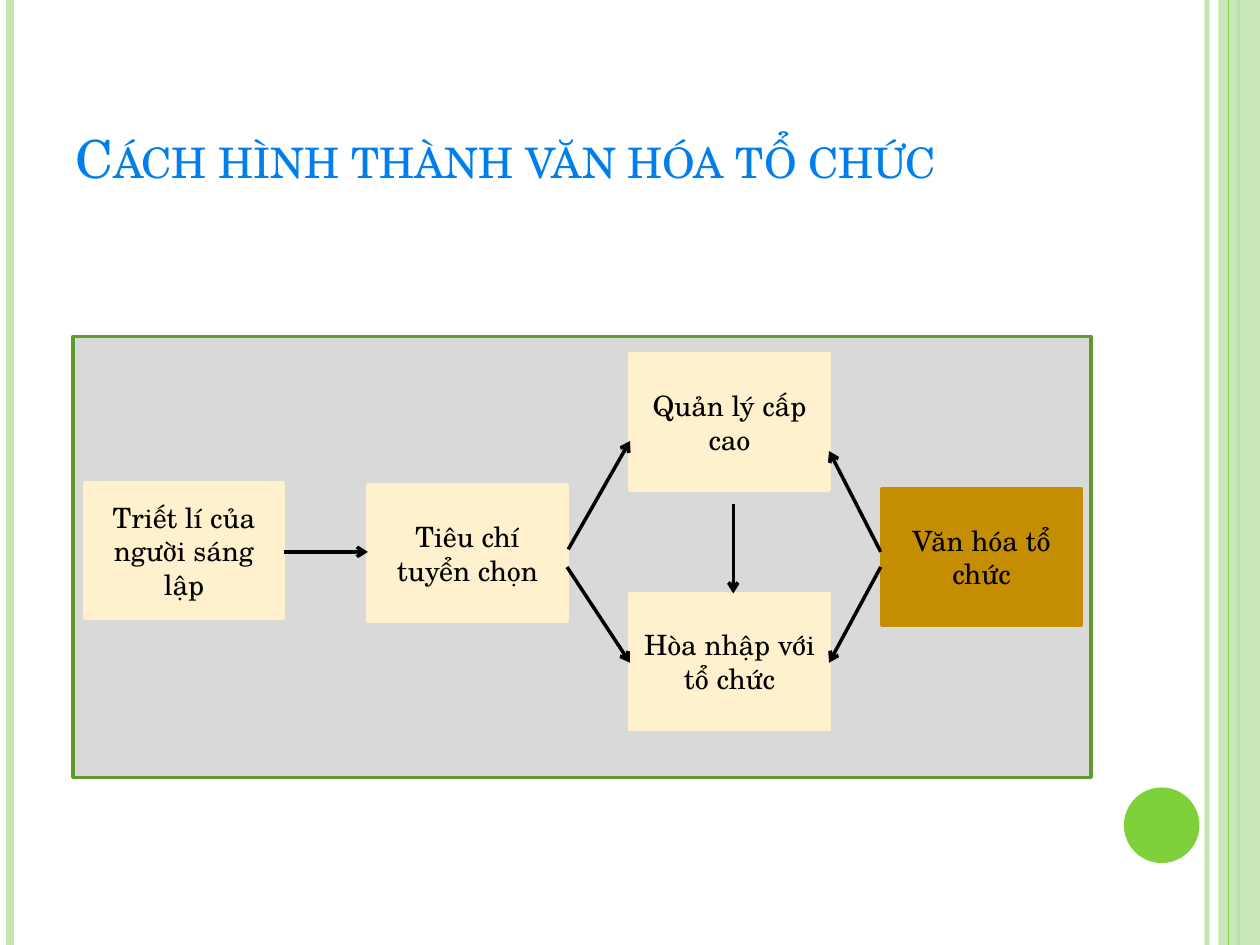
from lxml import etree
from pptx import Presentation
from pptx.dml.color import RGBColor
from pptx.enum.shapes import MSO_CONNECTOR, MSO_SHAPE
from pptx.enum.text import MSO_ANCHOR, PP_ALIGN
from pptx.oxml.ns import qn
from pptx.util import Inches, Pt

STRAIGHT = MSO_CONNECTOR.STRAIGHT
RECTANGLE = MSO_SHAPE.RECTANGLE
OVAL = MSO_SHAPE.OVAL
MIDDLE = MSO_ANCHOR.MIDDLE
BOTTOM = MSO_ANCHOR.BOTTOM
CENTER = PP_ALIGN.CENTER
LEFT = PP_ALIGN.LEFT

FONT = "TeX Gyre Schola"
COLORS = {
    "pale_green": "C0E5AF",
    "green": "7FD13B",
    "dark_green": "5E9B2C",
    "title": "007EEB",
    "panel": "D9D9D9",
    "cream": "FFF1CE",
    "gold": "C58D01",
    "black": "000000",
}
PAGE_WIDTH, PAGE_HEIGHT = 10, 7.5
BOX_WIDTH, BOX_HEIGHT = 1.58, 1.08

STEPS = [
    ("Triết lí của người sáng lập", 0.67, 3.83, "cream"),
    ("Tiêu chí tuyển chọn", 2.92, 3.85, "cream"),
    ("Hòa nhập với tổ chức", 5, 4.71, "cream"),
    ("Quản lý cấp cao", 5, 2.81, "cream"),
    ("Văn hóa tổ chức", 7, 3.88, "gold"),
]
ARROWS = [
    ((2.25, 4.38), (2.92, 4.38)),
    ((5.82, 4), (5.82, 4.71)),
    ((4.51, 4.36), (5, 3.5)),
    ((4.5, 4.5), (5, 5.26)),
    ((6.99, 4.5), (6.58, 5.26)),
    ((6.99, 4.38), (6.58, 3.58)),
]


def rgb(name):
    return RGBColor.from_string(COLORS[name])


def set_alpha(color_format_parent, percent):
    color = next(color_format_parent.iter(qn("a:srgbClr")))
    etree.SubElement(color, qn("a:alpha")).set("val", str(percent * 1000))


def add_line(page, start, end, color, width):
    points = [Inches(value) for value in (*start, *end)]
    line = page.shapes.add_connector(STRAIGHT, *points)
    line.line.color.rgb = rgb(color)
    line.line.width = Pt(width)
    etree.SubElement(line._element.spPr, qn("a:effectLst"))
    return line


def add_rule(page, x, color, width):
    return add_line(page, (x, 0), (x, PAGE_HEIGHT), color, width)


def add_arrow(page, start, end):
    arrow = add_line(page, start, end, "black", 2)
    outline = arrow.line._get_or_add_ln()
    etree.SubElement(outline, qn("a:tailEnd")).set("type", "arrow")


def add_block(page, kind, bounds, fill, outline=None):
    block = page.shapes.add_shape(kind, *[Inches(value) for value in bounds])
    block.shadow.inherit = False
    block.fill.solid()
    block.fill.fore_color.rgb = rgb(fill)
    if outline:
        block.line.color.rgb = rgb(outline)
        block.line.width = Pt(2)
    else:
        block.line.fill.background()
    return block


def write_text(shape, text, size, color, alignment, anchor):
    frame = shape.text_frame
    frame.word_wrap = True
    frame.vertical_anchor = anchor
    frame.text = text
    para = frame.paragraphs[0]
    para.alignment = alignment
    span = para.runs[0]
    span.font.name = FONT
    span.font.size = Pt(size)
    span.font.color.rgb = rgb(color)
    return span


def add_title(page, text):
    bounds = [Inches(value) for value in (0.5, 0.3, 8.17, 1.25)]
    box = page.shapes.add_textbox(*bounds)
    span = write_text(box, text, 30, "title", LEFT, BOTTOM)
    span._r.get_or_add_rPr().set("cap", "small")


def add_step(page, text, left, top, color):
    bounds = (left, top, BOX_WIDTH, BOX_HEIGHT)
    box = add_block(page, RECTANGLE, bounds, color, color)
    write_text(box, text, 16, "black", CENTER, MIDDLE)


def add_decoration(page):
    inner_rule = add_rule(page, 9.58, "pale_green", 3)
    set_alpha(inner_rule._element, 93)
    add_rule(page, 0.08, "pale_green", 4.5)
    add_rule(page, 9.83, "green", 1.5)
    band = add_block(page, RECTANGLE, (9.67, 0, 0.33, PAGE_HEIGHT), "pale_green")
    set_alpha(band._element, 87)
    add_rule(page, 9.75, "green", 0.75)
    add_block(page, OVAL, (8.92, 6.25, 0.6, 0.6), "green")


def main():
    deck = Presentation()
    deck.slide_width = Inches(PAGE_WIDTH)
    deck.slide_height = Inches(PAGE_HEIGHT)
    page = deck.slides.add_slide(deck.slide_layouts[6])
    add_decoration(page)
    add_title(page, "Cách hình thành văn hóa tổ chức")
    add_block(page, RECTANGLE, (0.58, 2.67, 8.08, 3.5), "panel", "dark_green")
    for step in STEPS:
        add_step(page, *step)
    for start, end in ARROWS:
        add_arrow(page, start, end)
    deck.save("out.pptx")


main()
